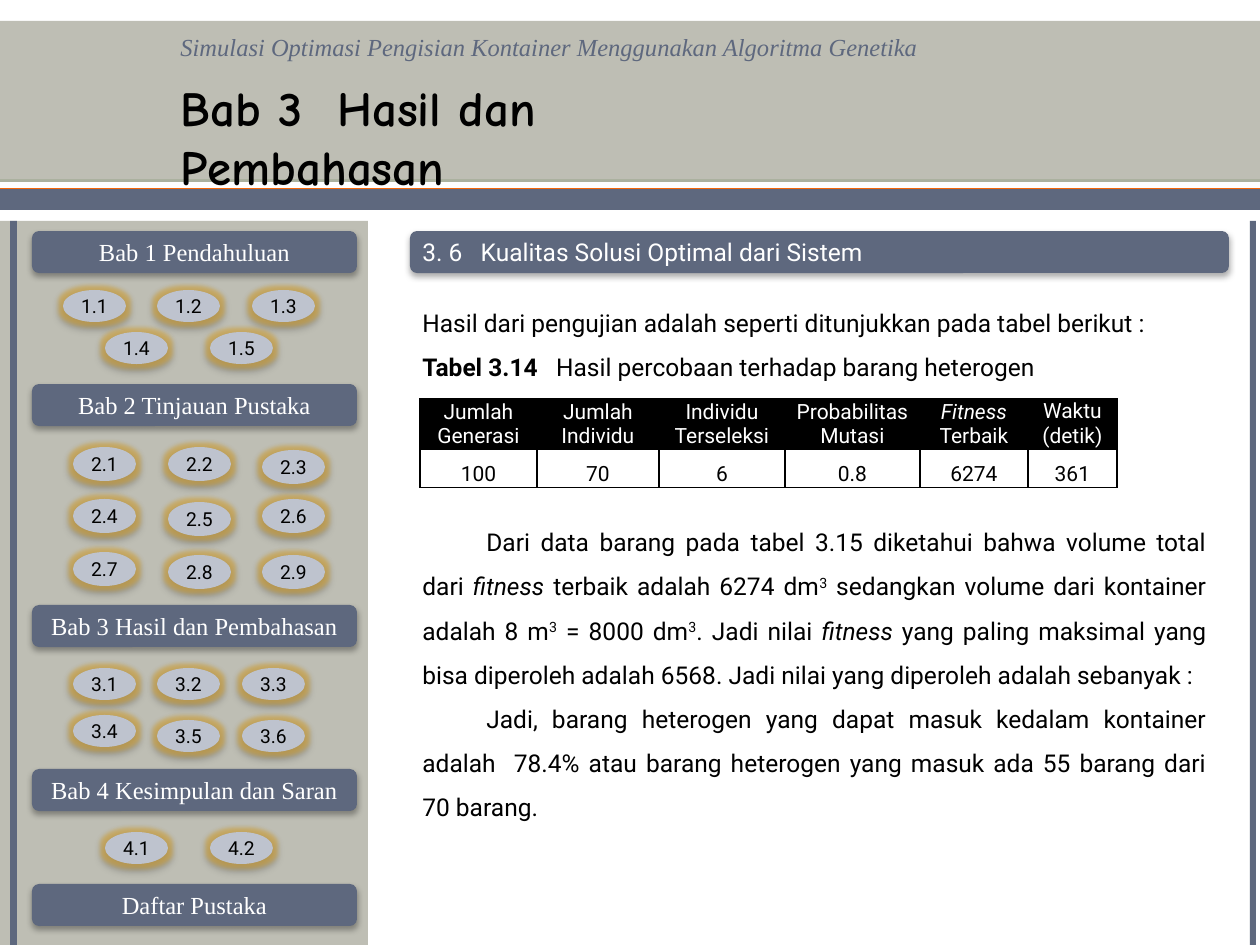
from lxml import etree
from pptx import Presentation
from pptx.dml.color import RGBColor
from pptx.enum.shapes import MSO_SHAPE
from pptx.enum.text import MSO_ANCHOR, MSO_AUTO_SIZE, PP_ALIGN
from pptx.oxml.ns import qn
from pptx.util import Emu, Pt

RECT, ELLIPSE = MSO_SHAPE.RECTANGLE, MSO_SHAPE.OVAL
PILL = MSO_SHAPE.FLOWCHART_ALTERNATE_PROCESS
TOP, MIDDLE = MSO_ANCHOR.TOP, MSO_ANCHOR.MIDDLE
LEFT, CENTER, JUSTIFY = PP_ALIGN.LEFT, PP_ALIGN.CENTER, PP_ALIGN.JUSTIFY
GROW = MSO_AUTO_SIZE.SHAPE_TO_FIT_TEXT

SLATE, STONE, SAGE, ORANGE = "5E687E", "BEBEB4", "ABB19F", "F4680B"
MIST, GOLD, BLACK, WHITE = "BEC3CE", "D8A73B", "000000", "FFFFFF"
SERIF, SANS, COMIC = "Times New Roman", "Roboto", "Comic Neue"

BANDS = [
    (0, 23, 1260, 159, SAGE),
    (0, 188, 1260, 20, ORANGE),
    (0, 21, 1260, 158, STONE),
    (0, 189, 1260, 21, SLATE),
    (1250, 221, 6, 724, SLATE),
    (0, 221, 368, 724, STONE),
    (10, 221, 7, 724, SLATE),
]
CHAPTERS = [
    ("Bab 1 Pendahuluan", 231, 32,
     [(63, 290), (157, 290), (252, 290), (105, 332), (210, 332)]),
    ("Bab 2 Tinjauan Pustaka", 384, 34,
     [(73, 447), (168, 447), (262, 450), (73, 499), (168, 502), (262, 499),
      (73, 552), (168, 555), (262, 555)]),
    ("Bab 3 Hasil dan Pembahasan", 605, 32,
     [(73, 668), (157, 668), (242, 668), (73, 715), (157, 720), (242, 720)]),
    ("Bab 4 Kesimpulan dan Saran", 769, 32, [(105, 832), (210, 832)]),
    ("Daftar Pustaka", 884, 32, []),
]
COLUMNS = [
    (117, ["Jumlah Generasi"], "100"),
    (122, ["Jumlah Individu"], "70"),
    (126, ["Individu Terseleksi"], "6"),
    (135, ["Probabilitas", "Mutasi"], "0.8"),
    (108, ["Fitness", "Terbaik"], "6274"),
    (89, ["Waktu", "(detik)"], "361"),
]
INTRO = "Hasil dari pengujian adalah seperti ditunjukkan pada tabel berikut :"
CAPTION = [("Tabel 3.14", "b"), ("   Hasil percobaan terhadap barang heterogen", "")]
FINDING = [
    ("Dari data barang pada tabel 3.15 diketahui bahwa volume total dari ", ""),
    ("fitness ", "i"), ("terbaik adalah 6274 dm", ""), ("3", "sup"),
    (" sedangkan volume dari kontainer adalah 8 m", ""), ("3", "sup"),
    (" = 8000 dm", ""), ("3", "sup"), (". Jadi nilai ", ""), ("fitness", "i"),
    (" yang paling maksimal yang bisa diperoleh adalah 6568. "
     "Jadi nilai yang diperoleh adalah sebanyak :", ""),
]
CONCLUSION = ("Jadi, barang heterogen yang dapat masuk kedalam kontainer adalah  78.4% "
              "atau barang heterogen yang masuk ada 55 barang dari 70 barang.")


def px(n):
    return Emu(round(n * 914400 / 126))


def rgb(color):
    return RGBColor.from_string(color)


class Deck:
    """Holds the style and the current slide, and draws each kind of element."""

    def __init__(self):
        self.prs = Presentation()
        self.prs.slide_width, self.prs.slide_height = px(1260), px(945)
        self.s = self.prs.slides.add_slide(self.prs.slide_layouts[5])

    def fill_text(self, p, text, size, font, color=BLACK, align=LEFT, bold=False, italic=False):
        p.alignment = align
        for content, style in [(text, "")] if isinstance(text, str) else text:
            r = p.add_run()
            r.text = content
            r.font.size, r.font.name = Pt(size), font
            r.font.color.rgb = rgb(color)
            r.font.bold = bold or style == "b"
            r.font.italic = italic or style == "i"
            if style == "sup":
                r.font._element.set("baseline", "30000")

    def effect(self, sp, tag, color, alpha, **attrs):
        effects = sp.element.spPr.find(qn("a:effectLst"))
        node = etree.SubElement(effects, qn(tag), attrs)
        clr = etree.SubElement(node, qn("a:srgbClr"), val=color)
        etree.SubElement(clr, qn("a:alpha"), val=str(alpha * 1000))

    def shape(self, kind, x, y, w, h, fill, raised=False, glow=False):
        sp = self.s.shapes.add_shape(kind, px(x), px(y), px(w), px(h))
        sp.fill.solid()
        sp.fill.fore_color.rgb = rgb(fill)
        sp.line.fill.background()
        sp.shadow.inherit = False
        if glow:
            self.effect(sp, "a:glow", GOLD, 60, rad="63500")
        if raised:
            self.effect(sp, "a:outerShdw", BLACK, 32, blurRad="44450", dist="27940",
                        dir="5400000", algn="ctr", rotWithShape="0")
        return sp

    def heading(self, text, y):
        sp = self.shape(PILL, 32, y, 325, 42, SLATE, raised=True)
        sp.text_frame.vertical_anchor = MIDDLE
        self.fill_text(sp.text_frame.paragraphs[0], text, 14, SERIF, WHITE, CENTER)

    def bubble(self, text, x, y, h):
        tf = self.shape(ELLIPSE, x, y, 63, h, MIST, raised=True, glow=True).text_frame
        tf.margin_left = tf.margin_right = tf.margin_top = tf.margin_bottom = 0
        tf.vertical_anchor = MIDDLE
        self.fill_text(tf.paragraphs[0], text, 11, SANS, align=CENTER)

    def title(self, text, x, y, w, h):
        sp = self.s.shapes.title
        sp.left, sp.top, sp.width, sp.height = px(x), px(y), px(w), px(h)
        sp.element.getparent().append(sp.element)
        tf = sp.text_frame
        tf.vertical_anchor, tf.word_wrap, tf.auto_size = TOP, True, GROW
        self.fill_text(tf.paragraphs[0], text, 28, COMIC, bold=True)

    def textbox(self, x, y, w, h):
        tf = self.s.shapes.add_textbox(px(x), px(y), px(w), px(h)).text_frame
        tf.word_wrap, tf.auto_size = True, GROW
        return tf

    def label(self, text, x, y, w, h, font, color, italic=False):
        p = self.textbox(x, y, w, h).paragraphs[0]
        self.fill_text(p, text, 14, font, color, italic=italic)

    def body(self, x, y, w, h, items):
        tf = self.textbox(x, y, w, h)
        for i, (text, align, indent, gap) in enumerate(items):
            p = tf.add_paragraph() if i else tf.paragraphs[0]
            p.line_spacing, p.space_before = 1.5, Pt(gap)
            self.fill_text(p, text, 14, SANS, align=align)
            p._p.get_or_add_pPr().set("indent", str(px(indent)))

    def cell(self, cell, lines, color, anchor, fill=None, spacing=1.0):
        cell.margin_left = cell.margin_right = px(9)
        cell.margin_top = cell.margin_bottom = 0
        cell.vertical_anchor = anchor
        if fill:
            cell.fill.solid()
            cell.fill.fore_color.rgb = rgb(fill)
        else:
            cell.fill.background()
        for i, text in enumerate(lines):
            p = cell.text_frame.add_paragraph() if i else cell.text_frame.paragraphs[0]
            p.line_spacing = spacing
            self.fill_text(p, text, 12, SANS, color, CENTER, italic=text == "Fitness")
        tc_pr = cell._tc.get_or_add_tcPr()
        for i, side in enumerate(("a:lnL", "a:lnR", "a:lnT", "a:lnB")):
            ln = etree.Element(qn(side), w="12700")
            solid = etree.SubElement(ln, qn("a:solidFill"))
            etree.SubElement(solid, qn("a:srgbClr"), val=BLACK)
            tc_pr.insert(i, ln)

    def table(self, x, y, columns, heights):
        width = sum(w for w, _, _ in columns)
        table = self.s.shapes.add_table(2, len(columns), px(x), px(y), px(width),
                                        px(sum(heights))).table
        table.first_row = table.horz_banding = False
        for row, h in zip(table.rows, heights):
            row.height = px(h)
        for i, (w, header, value) in enumerate(columns):
            anchor = TOP if i == len(columns) - 1 else MIDDLE
            table.columns[i].width = px(w)
            self.cell(table.cell(0, i), header, WHITE, anchor, fill=BLACK)
            self.cell(table.cell(1, i), [value], BLACK, anchor, spacing=1.5)


def main():
    deck = Deck()
    for *box, color in BANDS:
        deck.shape(RECT, *box, color)
    deck.label("Simulasi Optimasi Pengisian Kontainer Menggunakan Algoritma Genetika",
               168, 26, 1092, 43, SERIF, SLATE, italic=True)
    for chapter, (name, y, h, spots) in enumerate(CHAPTERS, 1):
        deck.heading(name, y)
        for part, (x, top) in enumerate(spots, 1):
            deck.bubble(f"{chapter}.{part}", x, top, h)
    deck.title("Bab 3  Hasil dan Pembahasan", 168, 71, 651, 72)
    deck.shape(PILL, 410, 231, 819, 42, SLATE, raised=True)
    deck.label("3. 6   Kualitas Solusi Optimal dari Sistem", 410, 231, 819, 43, SANS, WHITE)
    deck.body(410, 287, 809, 503, [
        (INTRO, JUSTIFY, 0, 0),
        (CAPTION, LEFT, 0, 0),
        (FINDING, JUSTIFY, 64, 75),
        (CONCLUSION, JUSTIFY, 64, 0),
    ])
    deck.table(420, 399, COLUMNS, (50, 38))
    deck.prs.save("out.pptx")


if __name__ == "__main__":
    main()
